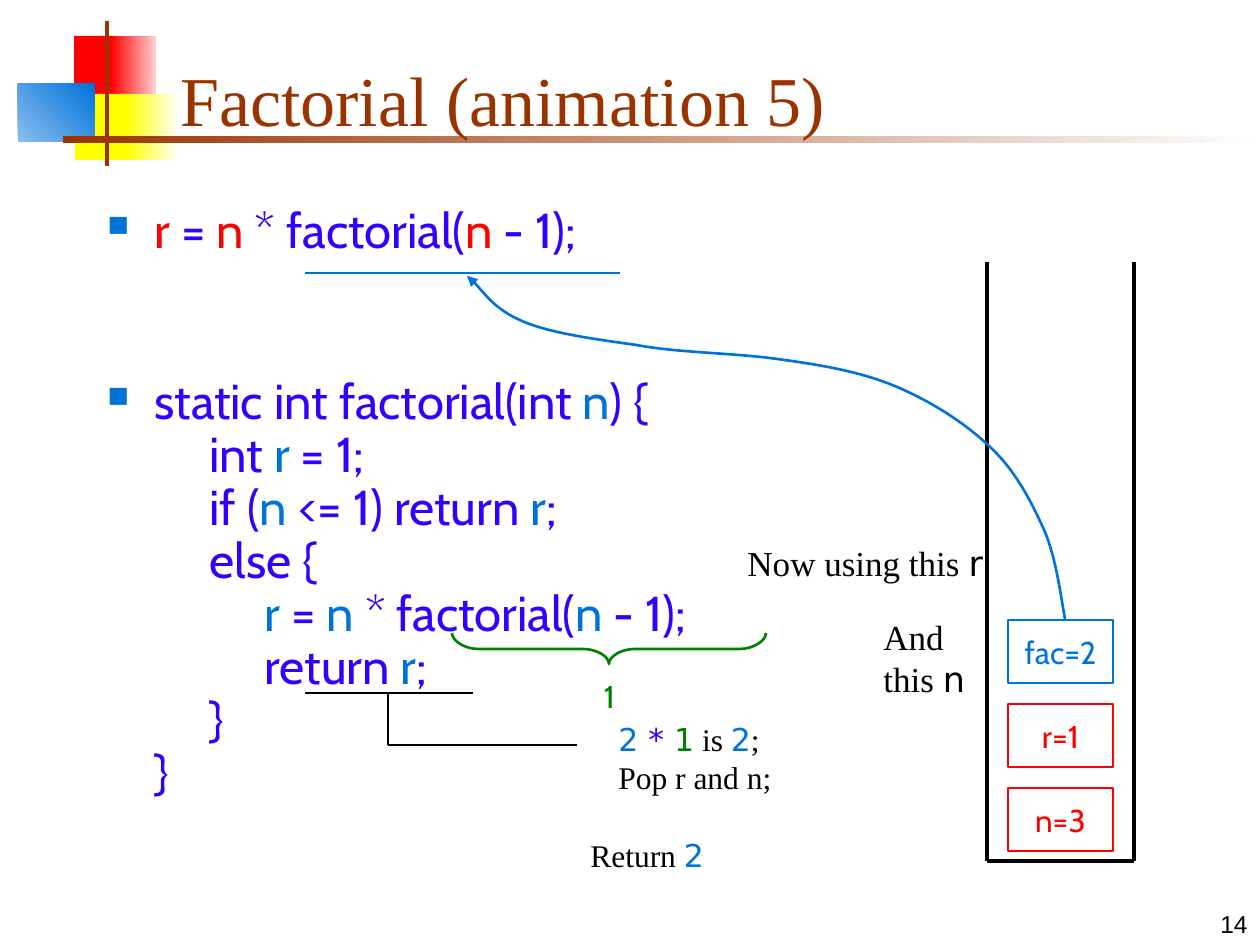
from lxml.etree import SubElement
from pptx import Presentation
from pptx.dml.color import RGBColor
from pptx.enum.shapes import MSO_CONNECTOR, MSO_SHAPE
from pptx.enum.text import MSO_ANCHOR, PP_ALIGN
from pptx.oxml.ns import qn
from pptx.util import Pt

EMU_PER_PX = 914400 / 126
BLUE, INDIGO, RED, GREEN = "0073D9", "3300FF", "FF0000", "007F00"
BROWN, YELLOW, BLACK, WHITE = "993300", "FFFF00", "000000", "FFFFFF"
SERIF, SANS, CODE = "Times New Roman", "DejaVu Sans", "Cabin"

# Decoration: left, top, width, height, fill colours, gradient angle
DECOR = [
    (74, 36, 44, 65, [RED], 0),
    (111, 36, 45, 65, [RED, "FFD1D1"], 0),
    (75, 94, 58, 66, [YELLOW], 0),
    (126, 94, 51, 66, [YELLOW, "FFFFF0"], 0),
    (18, 84, 77, 58, ["8BBFEE", BLUE], 45),
    (105, 21, 4, 145, [BROWN], 0),
    (63, 136, 1197, 7, [BROWN, WHITE], 0),
]
STACK_PANEL = (998, 525, 126, 168, [WHITE], 0)

# Code: variables stand between bars; variable colour, space before, lines
CODE_BLOCKS = [
    (RED, 0, ["|r| = |n| * factorial(|n| - 1);"]),
    (BLUE, 67.5, [
        "static int factorial(int |n|) {",
        "     int |r| = 1;",
        "     if (|n| <= 1) return |r|;",
        "     else {",
        "          |r| = |n| * factorial(|n| - 1);",
        "          return |r|;",
        "     }",
        "}",
    ]),
]

# Labels: box, size, wrap, lines of (text, font, colour)
LABELS = [
    ((735, 535, 420, 55), 20, True,
     [[("Now using this ", SERIF, BLACK), ("r", SANS, BLACK)]]),
    ((871, 609, 136, 97), 20, True,
     [[("And this ", SERIF, BLACK), ("n", SANS, BLACK)]]),
    ((606, 714, 178, 88), 18, False,
     [[("2 ", SANS, BLUE), ("* ", SANS, INDIGO), ("1", SANS, GREEN),
       (" is ", SERIF, BLACK), ("2", SANS, BLUE), (";", SERIF, BLACK)],
      [("Pop r and n;", SERIF, BLACK)]]),
    ((578, 830, 441, 50), 18, True,
     [[("Return ", SERIF, BLACK), ("2", SANS, BLUE)]]),
]

# Stack frames from top to bottom
FRAMES = [("fac=2", BLUE), ("r=1", RED), ("n=3", RED)]
FRAME_LEFT, FRAME_TOP, FRAME_STEP = 1008, 620, 84
FRAME_SIZE = (105, 63)

# Straight lines: points, colour, width
LINES = [
    ([(987, 262), (987, 861), (1134, 861), (1134, 262)], BLACK, 2.25),
    ([(305, 693), (473, 693)], BLACK, 1.5),
    ([(388, 693), (388, 745), (577, 745)], BLACK, 1.5),
    ([(305, 273), (620, 273)], BLUE, 1.5),
]

# Curves: a start, then segments of one point (straight) or three (Bezier)
RETURN_START = (1065, 619)
RETURN_CURVE = [
    [(1062, 604), (1057, 561), (1045, 532)],
    [(1032, 503), (1016, 471), (990, 447)],
    [(965, 423), (932, 402), (897, 387)],
    [(862, 372), (822, 365), (777, 359)],
    [(735, 353), (679, 353), (636, 345)],
    [(593, 339), (549, 333), (522, 321)],
    [(494, 309), (479, 285), (467, 276)],
]
BRACE_START, BRACE_TIP = (766, 633), (609, 664)
BRACE_HALF = [
    [(766, 641), (753, 649), (740, 649)],
    [(635, 649)],
    [(622, 649), (609, 656), BRACE_TIP],
]


def emu(px):
    return round(px * EMU_PER_PX)


def scaled(lengths):
    return [emu(length) for length in lengths]


def color(value):
    return RGBColor.from_string(value)


def set_values(target, values):
    for name, value in values.items():
        setattr(target, name, value)


def set_line(shape, value, width):
    shape.line.color.rgb = color(value)
    shape.line.width = Pt(width)


def add_lines(para, lines, size):
    for index, line in enumerate(lines):
        if index:
            para.add_line_break()
        for text, font, value in line:
            span = para.add_run()
            span.text = text
            set_values(span.font, {"size": Pt(size), "name": font})
            span.font.color.rgb = color(value)


def add_text(page, place, lines, size, wrap=True, anchor=MSO_ANCHOR.TOP, align=PP_ALIGN.LEFT):
    box = page.shapes.add_textbox(*scaled(place))
    set_values(box.text_frame, {"word_wrap": wrap, "vertical_anchor": anchor})
    para = box.text_frame.paragraphs[0]
    para.alignment = align
    add_lines(para, lines, size)


def add_block(page, left, top, width, height, fills, angle):
    block = page.shapes.add_shape(MSO_SHAPE.RECTANGLE, *scaled((left, top, width, height)))
    block.shadow.inherit = False
    block.line.fill.background()
    if len(fills) == 1:
        block.fill.solid()
        block.fill.fore_color.rgb = color(fills[0])
        return
    block.fill.gradient()
    block.fill.gradient_angle = angle
    for stop, value in zip(block.fill.gradient_stops, fills):
        stop.color.rgb = color(value)


def add_code(page):
    box = page.shapes.add_textbox(*scaled((95, 200, 829, 682)))
    frame = box.text_frame
    frame.word_wrap = True
    for index, (variable, space, lines) in enumerate(CODE_BLOCKS):
        para = frame.add_paragraph() if index else frame.paragraphs[0]
        set_values(para, {"line_spacing": 0.9, "space_before": Pt(space)})
        props = para._p.get_or_add_pPr()
        props.set("marL", str(emu(47)))
        props.set("indent", str(-emu(47)))
        SubElement(SubElement(props, qn("a:buClr")), qn("a:srgbClr"), val=BLUE)
        SubElement(props, qn("a:buSzPct"), val="60000")
        # Character n is a filled square in this symbol font
        SubElement(props, qn("a:buFont"), typeface="Wingdings", pitchFamily="2", charset="2")
        SubElement(props, qn("a:buChar"), char="n")
        add_lines(para, [[(part, CODE, variable if place % 2 else INDIGO)
                          for place, part in enumerate(line.split("|")) if part]
                         for line in lines], 28)


def add_process(page, left, top, text, value, outlined=True):
    box = page.shapes.add_shape(MSO_SHAPE.FLOWCHART_PROCESS, *scaled((left, top, *FRAME_SIZE)))
    box.shadow.inherit = False
    box.fill.background()
    if outlined:
        set_line(box, value, 1.5)
    else:
        box.line.fill.background()
    set_values(box.text_frame, {"word_wrap": False, "vertical_anchor": MSO_ANCHOR.MIDDLE})
    para = box.text_frame.paragraphs[0]
    para.alignment = PP_ALIGN.CENTER
    add_lines(para, [[(text, CODE, value)]], 18)


def add_line(page, start, end, value, width):
    line = page.shapes.add_connector(MSO_CONNECTOR.STRAIGHT, *scaled(start + end))
    set_line(line, value, width)
    SubElement(line._element.spPr, qn("a:effectLst"))


def add_curve(page, start, segments, value):
    builder = page.shapes.build_freeform(*scaled(start))
    builder.add_line_segments([scaled(segment[-1]) for segment in segments], close=False)
    curve = builder.convert_to_shape()
    # Bend the straight segments that have control points
    for step, segment in zip(list(curve._element.iter(qn("a:lnTo"))), segments):
        if len(segment) == 3:
            step.tag = qn("a:cubicBezTo")
            for index, (x, y) in enumerate(segment[:2]):
                control = SubElement(step, qn("a:pt"), x=str(emu(x) - curve.left),
                                     y=str(emu(y) - curve.top))
                step.insert(index, control)
    curve.shadow.inherit = False
    curve.fill.background()
    set_line(curve, value, 1.5)
    return curve


def mirrored_brace():
    points = [BRACE_START] + [point for segment in BRACE_HALF for point in segment]
    back = [(2 * BRACE_TIP[0] - x, y) for x, y in reversed(points)][1:]
    return BRACE_HALF + [back[:3], back[3:4], back[4:]]


def main():
    deck = Presentation()
    set_values(deck, {"slide_width": emu(1260), "slide_height": emu(945)})
    page = deck.slides.add_slide(deck.slide_layouts[6])

    # Background, title, page number and code
    for decor in DECOR:
        add_block(page, *decor)
    add_text(page, (998, 882, 262, 63), [[("14", "Arial", BLACK)]], 14,
             anchor=MSO_ANCHOR.BOTTOM, align=PP_ALIGN.RIGHT)
    add_text(page, (168, 31, 1073, 116), [[("Factorial (animation 5)", SERIF, BROWN)]], 40,
             anchor=MSO_ANCHOR.BOTTOM)
    add_code(page)

    # Stack walls, underlines and labels
    for points, value, width in LINES:
        for start, end in zip(points, points[1:]):
            add_line(page, start, end, value, width)
    for place, size, wrap, lines in LABELS:
        add_text(page, place, lines, size, wrap)

    # Brace, stack panel, return arrow and stack frames
    add_process(page, 557, 664, "1", GREEN, outlined=False)
    add_curve(page, BRACE_START, mirrored_brace(), GREEN)
    add_block(page, *STACK_PANEL)
    arrow = add_curve(page, RETURN_START, RETURN_CURVE, BLUE)
    SubElement(arrow.line._get_or_add_ln(), qn("a:tailEnd"), type="triangle")
    for index, (text, value) in enumerate(FRAMES):
        add_process(page, FRAME_LEFT, FRAME_TOP + index * FRAME_STEP, text, value)

    deck.save("out.pptx")


if __name__ == "__main__":
    main()
